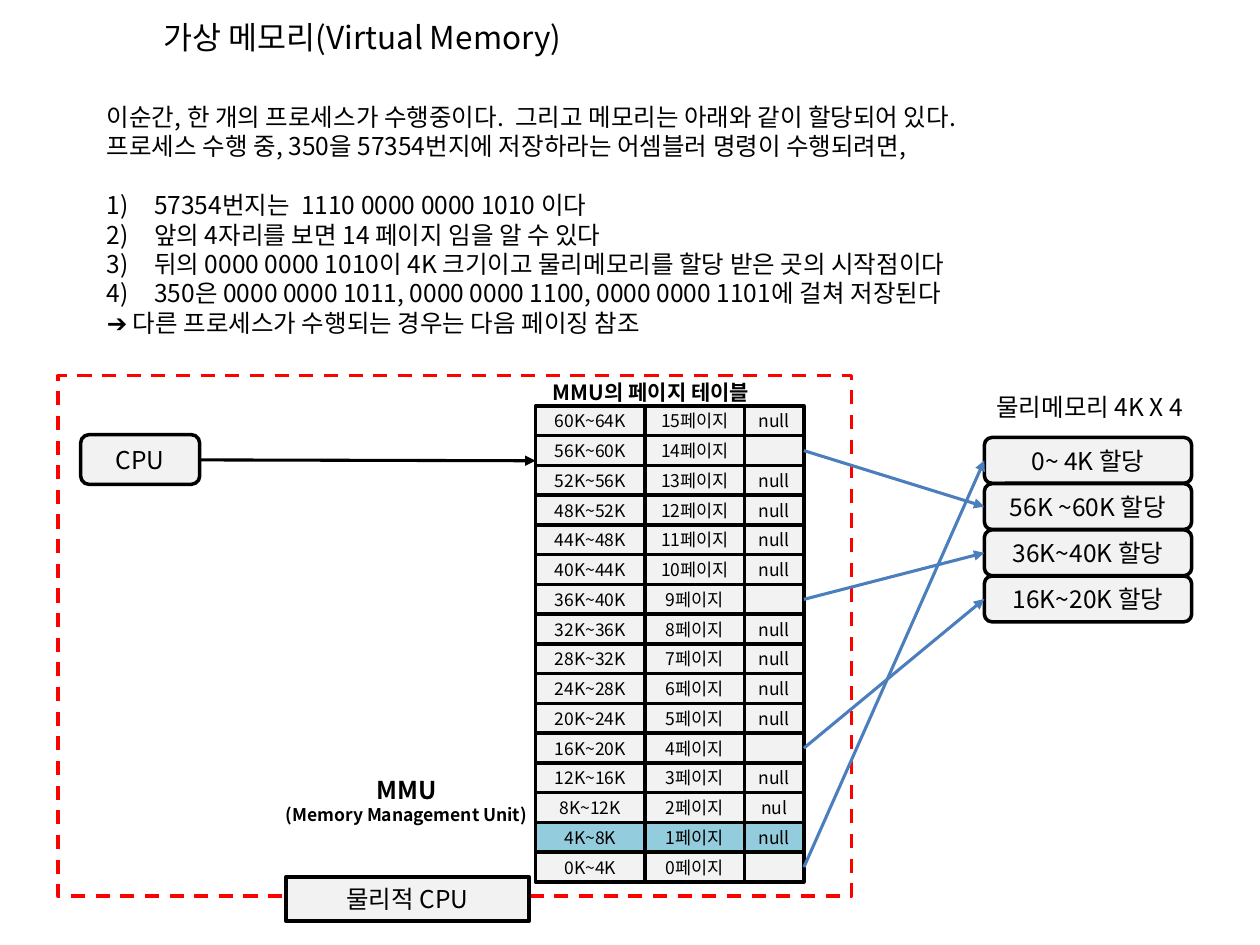
from dataclasses import dataclass
from typing import Optional

from lxml.etree import SubElement
from pptx import Presentation
from pptx.dml.color import RGBColor
from pptx.enum.dml import MSO_LINE_DASH_STYLE as Dash
from pptx.enum.shapes import MSO_CONNECTOR as Connector
from pptx.enum.shapes import MSO_SHAPE as Shape
from pptx.enum.text import MSO_ANCHOR as Anchor
from pptx.enum.text import MSO_AUTO_SIZE as AutoSize
from pptx.enum.text import PP_ALIGN as Align
from pptx.oxml.ns import qn
from pptx.util import Pt

FONT = "Noto Sans CJK KR"
BLACK, GREY, CYAN, RED, BLUE = "000000", "F2F2F2", "93CDDD", "FF0000", "4B7EBC"
PAGES = 16
TABLE_TOP, ROW_H = 232, 17
COLUMNS = [(306, 62.6), (368.6, 56.9), (425.5, 33.9)]
TABLE_LEFT, TABLE_RIGHT = 306, 459.4
BLOCK_LEFT, BLOCK_TOP, BLOCK_W, BLOCK_H, BLOCK_STEP = 562.5, 250, 118.5, 26.2, 26.4


@dataclass
class Line:
    text: str
    size: float = 14
    bold: bool = False
    numbered: bool = False
    before: float = 0


@dataclass
class Box:
    x: float
    y: float
    w: float
    h: float
    line: Optional[Line] = None
    fill: Optional[str] = GREY
    border: str = BLACK
    kind: Shape = Shape.RECTANGLE
    dash: Optional[Dash] = None


@dataclass
class Block:
    page: int
    label: str


BLOCKS = [
    Block(0, "0~ 4K 할당"),
    Block(14, "56K ~60K 할당"),
    Block(9, "36K~40K 할당"),
    Block(4, "16K~20K 할당"),
]
BODY = [
    Line("이순간, 한 개의 프로세스가 수행중이다.  그리고 메모리는 아래와 같이 할당되어 있다."),
    Line("프로세스 수행 중, 350을 57354번지에 저장하라는 어셈블러 명령이 수행되려면,"),
    Line("57354번지는  1110 0000 0000 1010 이다", numbered=True, before=16.8),
    Line("앞의 4자리를 보면 14 페이지 임을 알 수 있다", numbered=True),
    Line("뒤의 0000 0000 1010이 4K 크기이고 물리메모리를 할당 받은 곳의 시작점이다", numbered=True),
    Line("350은 0000 0000 1011, 0000 0000 1100, 0000 0000 1101에 걸쳐 저장된다", numbered=True),
    Line("➔ 다른 프로세스가 수행되는 경우는 다음 페이징 참조"),
]


def rgb(value: str) -> RGBColor:
    return RGBColor.from_string(value)


def apply(target, values: dict) -> None:
    for name, value in values.items():
        setattr(target, name, value)


def write(tf, lines: list[Line], align: Align, **frame) -> None:
    apply(tf, {"word_wrap": True, "auto_size": AutoSize.NONE, **frame})
    for i, line in enumerate(lines):
        p = tf.add_paragraph() if i else tf.paragraphs[0]
        apply(p, {"alignment": align, "line_spacing": Pt(line.size * 1.2),
                  "space_before": Pt(line.before), "space_after": Pt(0)})
        r = p.add_run()
        r.text = line.text
        apply(r.font, {"name": FONT, "size": Pt(line.size), "bold": line.bold})
        r.font.color.rgb = rgb(BLACK)
        SubElement(r._r.get_or_add_rPr(), qn("a:ea"), typeface=FONT)
        if line.numbered:
            pPr = p._p.get_or_add_pPr()
            pPr.set("marL", str(Pt(27)))
            pPr.set("indent", str(Pt(-27)))
            SubElement(pPr, qn("a:buFont"), typeface=FONT)
            SubElement(pPr, qn("a:buAutoNum"), type="arabicParenR")


def draw_box(s, box: Box) -> None:
    sp = s.shapes.add_shape(box.kind, Pt(box.x), Pt(box.y), Pt(box.w), Pt(box.h))
    sp.shadow.inherit = False
    if box.fill:
        sp.fill.solid()
        sp.fill.fore_color.rgb = rgb(box.fill)
    else:
        sp.fill.background()
    sp.line.color.rgb = rgb(box.border)
    apply(sp.line, {"width": Pt(2), "dash_style": box.dash})
    if box.line:
        write(sp.text_frame, [box.line], Align.CENTER, vertical_anchor=Anchor.MIDDLE,
              margin_left=0, margin_right=0, margin_top=0, margin_bottom=0)


def draw_text(s, x: float, y: float, w: float, h: float, lines: list[Line],
              align: Align = Align.LEFT) -> None:
    sp = s.shapes.add_textbox(Pt(x), Pt(y), Pt(w), Pt(h))
    write(sp.text_frame, lines, align, word_wrap=align == Align.LEFT)


def draw_arrow(s, x1: float, y1: float, x2: float, y2: float, color: str) -> None:
    cx = s.shapes.add_connector(Connector.STRAIGHT, Pt(x1), Pt(y1), Pt(x2), Pt(y2))
    cx.line.color.rgb = rgb(color)
    cx.line.width = Pt(1.75)
    SubElement(cx.line._get_or_add_ln(), qn("a:tailEnd"), type="triangle")
    SubElement(cx._element.spPr, qn("a:effectLst"))


def row_top(page: int) -> float:
    return TABLE_TOP + (PAGES - 1 - page) * ROW_H


def draw_page_table(s) -> None:
    states = {block.page: "" for block in BLOCKS} | {2: "nul"}
    for page in reversed(range(PAGES)):
        texts = [f"{page * 4}K~{page * 4 + 4}K", f"{page}페이지", states.get(page, "null")]
        for (x, w), text in zip(COLUMNS, texts):
            draw_box(s, Box(x, row_top(page), w, ROW_H, Line(text, 10) if text else None,
                            CYAN if page == 1 else GREY))


def draw_physical_memory(s) -> None:
    for i, block in enumerate(BLOCKS):
        y = BLOCK_TOP + i * BLOCK_STEP
        draw_box(s, Box(BLOCK_LEFT, y, BLOCK_W, BLOCK_H, Line(block.label),
                        kind=Shape.ROUNDED_RECTANGLE))
        draw_arrow(s, TABLE_RIGHT, row_top(block.page) + ROW_H / 2,
                   BLOCK_LEFT, y + BLOCK_H / 2, BLUE)


def main() -> None:
    prs = Presentation()
    apply(prs, {"slide_width": Pt(720), "slide_height": Pt(540)})
    s = prs.slides.add_slide(prs.slide_layouts[5])
    title = s.shapes.title
    apply(title, {"left": Pt(86.4), "top": Pt(6.5), "width": Pt(252.7), "height": Pt(51)})
    write(title.text_frame, [Line("가상 메모리(Virtual Memory)", 18)], Align.LEFT,
          vertical_anchor=Anchor.TOP)
    draw_text(s, 54, 54.7, 558.7, 143.3, BODY)

    draw_box(s, Box(33.1, 214.6, 453.6, 297.4, fill=None, border=RED, dash=Dash.DASH))
    draw_box(s, Box(46.1, 248.4, 68, 28.4, Line("CPU"), kind=Shape.ROUNDED_RECTANGLE))
    draw_page_table(s)
    draw_arrow(s, 114.2, 262.8, TABLE_LEFT, 263.3, BLACK)
    draw_text(s, 308.9, 213.1, 140.4, 21.6, [Line("MMU의 페이지 테이블", 12, True)])
    draw_text(s, 155.5, 439.2, 153.4, 36,
              [Line("MMU", 14, True), Line("(Memory Management Unit)", 10, True)], Align.CENTER)
    draw_box(s, Box(163.4, 501.1, 139, 25.2, Line("물리적 CPU")))

    draw_text(s, 562.3, 220.3, 132.5, 24.5, [Line("물리메모리 4K X 4")])
    draw_physical_memory(s)
    prs.save("out.pptx")


if __name__ == "__main__":
    main()
